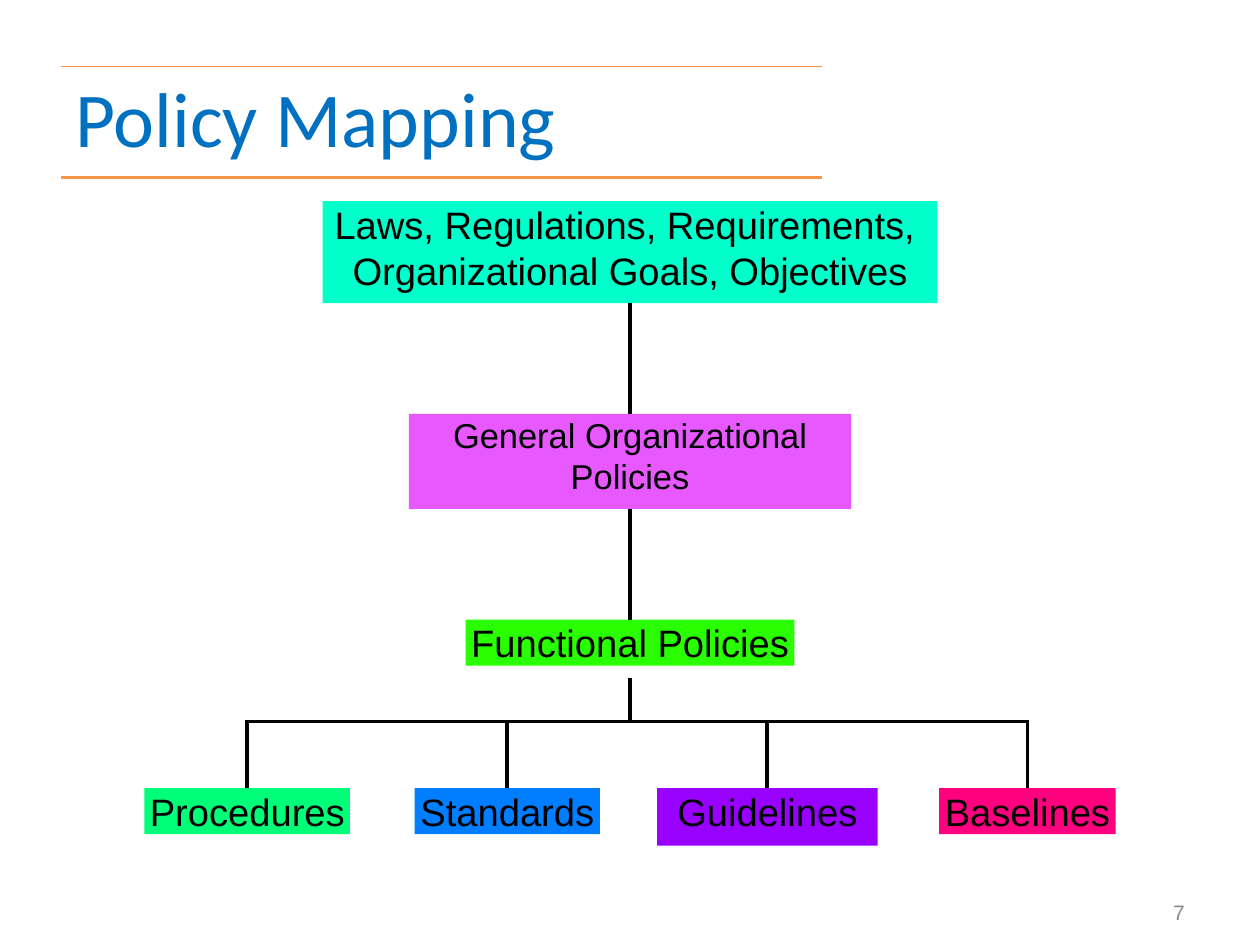
"""Build the Policy Mapping slide, laid out on a grid of 100 columns by 100 rows."""
from lxml import etree
from pptx import Presentation
from pptx.dml.color import RGBColor
from pptx.enum.shapes import MSO_CONNECTOR, MSO_SHAPE
from pptx.enum.text import MSO_ANCHOR, PP_ALIGN
from pptx.oxml.ns import qn
from pptx.util import Inches, Pt

STRAIGHT = MSO_CONNECTOR.STRAIGHT
RECTANGLE = MSO_SHAPE.RECTANGLE
TOP, MIDDLE = MSO_ANCHOR.TOP, MSO_ANCHOR.MIDDLE
LEFT, CENTER, RIGHT = PP_ALIGN.LEFT, PP_ALIGN.CENTER, PP_ALIGN.RIGHT
TOP_SIDE, BOTTOM_SIDE = 0, 2

WIDTH, HEIGHT = 14.22, 10.66
AXIS = 50
BUS_ROW = 76.36
LEAF_ROW, FIRST_LEAF, LEAF_STEP = 83.4, 19.62, 20.64
LEAVES = [
    ("Procedures", 16.32, 4.88, "00FF79"),
    ("Standards", 14.7, 4.88, "007EFF"),
    ("Guidelines", 17.5, 6.1, "9800FF"),
    ("Baselines", 14, 4.88, "FF007F"),
]


def color(hex_code):
    return RGBColor.from_string(hex_code)


def col(number):
    return Inches(WIDTH * number / 100)


def row(number):
    return Inches(HEIGHT * number / 100)


def write(frame, text, size, font, ink, align, anchor, insets):
    frame.text = text
    frame.vertical_anchor = anchor
    (frame.margin_left, frame.margin_top,
     frame.margin_right, frame.margin_bottom) = map(Inches, insets)
    paragraph = frame.paragraphs[0]
    paragraph.alignment = align
    paragraph.font.size = Pt(size)
    paragraph.font.name = font
    paragraph.font.color.rgb = color(ink)


def add_label(slide, left, top, width, height, text, size, font, ink, align):
    label = slide.shapes.add_textbox(col(left), row(top), col(width), row(height))
    label.text_frame.word_wrap = True
    write(label.text_frame, text, size, font, ink, align, MIDDLE, (0.14, 0.07, 0.14, 0.07))


def add_box(slide, center, top, width, height, text, fill, size=31, wrap=False):
    box = slide.shapes.add_shape(
        RECTANGLE, col(center - width / 2), row(top), col(width), row(height))
    box.shadow.inherit = False
    box.fill.solid()
    box.fill.fore_color.rgb = color(fill)
    box.line.fill.background()
    box.text_frame.word_wrap = wrap
    write(box.text_frame, text, size, "Arial", "000000", CENTER, TOP, (0.06, 0, 0.06, 0))
    return box


def add_line(slide, x1, y1, x2, y2, ink="000000", weight=3):
    line = slide.shapes.add_connector(STRAIGHT, col(x1), row(y1), col(x2), row(y2))
    line.line.color.rgb = color(ink)
    line.line.width = Pt(weight)
    etree.SubElement(line._element.spPr, qn("a:effectLst"))
    return line


def link(slide, upper, lower):
    line = add_line(slide, AXIS, 0, AXIS, 0)
    line.begin_connect(upper, BOTTOM_SIDE)
    line.end_connect(lower, TOP_SIDE)


def add_leaves(slide):
    for index, (text, width, height, fill) in enumerate(LEAVES):
        center = FIRST_LEAF + index * LEAF_STEP
        leaf = add_box(slide, center, LEAF_ROW, width, height, text, fill)
        drop = add_line(slide, center, BUS_ROW, center, LEAF_ROW)
        drop.end_connect(leaf, TOP_SIDE)
    last_leaf = FIRST_LEAF + (len(LEAVES) - 1) * LEAF_STEP
    add_line(slide, FIRST_LEAF - 0.14, BUS_ROW, last_leaf + 0.14, BUS_ROW)


def main():
    deck = Presentation()
    deck.slide_width, deck.slide_height = Inches(WIDTH), Inches(HEIGHT)
    slide = deck.slides.add_slide(deck.slide_layouts[6])

    add_line(slide, 4.85, 7.04, 65.26, 7.04, "F69240", 0.75)
    add_line(slide, 4.85, 18.76, 65.26, 18.76, "F79646", 2)
    add_label(slide, 5, 4.03, 90, 16.7, "Policy Mapping", 63, "Calibri", "0070C0", LEFT)
    add_label(slide, 71.66, 93.81, 23.35, 5.35, "7", 17, "Arial", "898989", RIGHT)

    laws = add_box(
        slide, AXIS, 21.29, 48.8, 10.79,
        "Laws, Regulations, Requirements, \vOrganizational Goals, Objectives",
        "00FFCB", wrap=True)
    general = add_box(slide, AXIS, 43.81, 35.1, 10.04,
                      "General Organizational Policies", "E758FF", 28, wrap=True)
    functional = add_box(slide, AXIS, 65.57, 26.1, 4.88, "Functional Policies", "29FF00")
    link(slide, laws, general)
    link(slide, general, functional)
    add_line(slide, AXIS, 71.76, AXIS, BUS_ROW)
    add_leaves(slide)

    deck.save("out.pptx")


if __name__ == "__main__":
    main()
